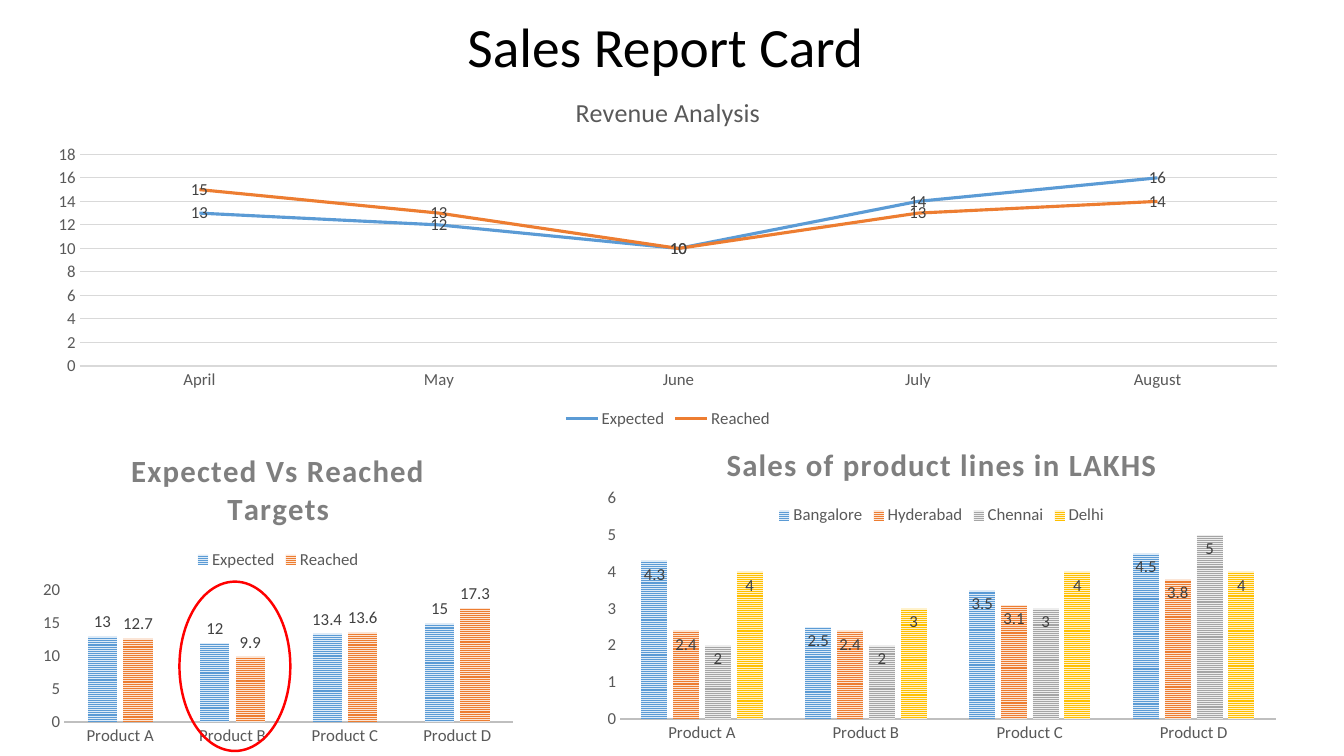
from lxml.etree import SubElement
from pptx import Presentation
from pptx.chart.data import CategoryChartData as Data
from pptx.dml.color import RGBColor as RGB
from pptx.enum.chart import XL_CHART_TYPE as Kind, XL_LABEL_POSITION as Pos
from pptx.enum.chart import XL_LEGEND_POSITION as Side, XL_TICK_MARK as Tick
from pptx.enum.dml import MSO_PATTERN as Pat
from pptx.enum.shapes import MSO_SHAPE as Shape
from pptx.enum.text import MSO_ANCHOR as Anchor, PP_ALIGN as Align
from pptx.oxml.ns import qn
from pptx.util import Inches, Pt

BLACK, RED = RGB(0, 0, 0), RGB(255, 0, 0)
TEXT, LABEL, HEAD = RGB(0x59, 0x59, 0x59), RGB(0x40, 0x40, 0x40), RGB(0x7F, 0x7F, 0x7F)
GRID, AXIS = RGB(0xD9, 0xD9, 0xD9), RGB(0xBF, 0xBF, 0xBF)
BLUE, ORANGE = RGB(0x5B, 0x9B, 0xD5), RGB(0xED, 0x7D, 0x31)
GRAY, GOLD = RGB(0xA5, 0xA5, 0xA5), RGB(0xFF, 0xC0, 0)
TINTS = [(BLUE, RGB(0xDE, 0xEB, 0xF7)), (ORANGE, RGB(0xFB, 0xE5, 0xD6)),
         (GRAY, RGB(0xED, 0xED, 0xED)), (GOLD, RGB(0xFF, 0xF2, 0xCC))]
FONT = "Calibri"

TITLE = "Sales Report Card"
ITEMS = ["Product A", "Product B", "Product C", "Product D"]
MONTHS = ["April", "May", "June", "July", "August"]
CHARTS = [
    dict(title="Sales of product lines in LAKHS", at=(5.91, 4.22, 6.86, 3.38),
         kind=Kind.COLUMN_CLUSTERED, cats=ITEMS, pos=Pos.INSIDE_END,
         plot=dict(x=0.035, y=0.213, w=0.948, h=0.648),
         rows={"Bangalore": [4.3, 2.5, 3.5, 4.5], "Hyderabad": [2.4, 2.4, 3.1, 3.8],
               "Chennai": [2, 2, 3, 5], "Delhi": [4, 3, 4, 4]}),
    dict(title="Expected Vs Reached Targets", at=(0.33, 4.29, 4.86, 3.17),
         kind=Kind.COLUMN_CLUSTERED, cats=ITEMS, pos=Pos.OUTSIDE_END, plot=None,
         rows={"Expected": [13, 12, 13.4, 15], "Reached": [12.7, 9.9, 13.6, 17.3]}),
    dict(title="Revenue Analysis", at=(0.33, 0.76, 12.59, 3.53),
         kind=Kind.LINE, cats=MONTHS, pos=Pos.CENTER, plot=None,
         rows={"Expected": [13, 12, 10, 14, 16], "Reached": [15, 13, 10, 13, 14]}),
]


def style(font, size, color, bold=False):
    font.name, font.size, font.bold = FONT, Pt(size), bold
    font.color.rgb = color


def stroke(line, color, width):
    line.color.rgb, line.width = color, Pt(width)


def set_plot(chart, box):
    area = chart._chartSpace.chart.plotArea
    for old in area.findall(qn("c:layout")):
        area.remove(old)
    layout = SubElement(area, qn("c:layout"))
    area.insert(0, layout)
    manual = SubElement(layout, qn("c:manualLayout"))
    modes = dict(layoutTarget="inner", xMode="edge", yMode="edge")
    for tag, val in {**modes, **box}.items():
        SubElement(manual, qn("c:" + tag)).set("val", str(val))


def set_title(chart, text, is_line):
    frame = chart.chart_title.text_frame
    frame.text = text
    run = frame.paragraphs[0].runs[0]
    if is_line:
        style(run.font, 18.6, TEXT)
    else:
        style(run.font, 22, HEAD, True)
        run._r.get_or_add_rPr().set("spc", "100")
    chart.chart_title.include_in_layout = False


def set_axes(chart, is_line):
    cat, val = chart.category_axis, chart.value_axis
    for axis in (cat, val):
        axis.major_tick_mark = axis.minor_tick_mark = Tick.NONE
        axis.has_major_gridlines = False
        style(axis.tick_labels.font, 12, TEXT)
    stroke(cat.format.line, GRID if is_line else AXIS, 0.75 if is_line else 1.5)
    val.format.line.fill.background()
    if is_line:
        val.has_major_gridlines = True
        stroke(val.major_gridlines.format.line, GRID, 0.75)


def set_series(row, tint, pos, is_line):
    if is_line:
        row.smooth = False
        stroke(row.format.line, tint[0], 2.25)
    else:
        fill = row.format.fill
        fill.patterned()
        fill.pattern = Pat.NARROW_HORIZONTAL
        fill.fore_color.rgb, fill.back_color.rgb = tint
    labels = row.data_labels
    labels.show_value, labels.position = True, pos
    style(labels.font, 12, LABEL)


def add_chart(slide, item):
    is_line = item["kind"] == Kind.LINE
    data = Data()
    data.categories = item["cats"]
    for name, vals in item["rows"].items():
        data.add_series(name, vals)
    chart = slide.shapes.add_chart(item["kind"], *map(Inches, item["at"]), data).chart
    style(chart.font, 10, BLACK)
    set_title(chart, item["title"], is_line)
    set_axes(chart, is_line)
    chart.has_legend = True
    chart.legend.position = Side.BOTTOM if is_line else Side.TOP
    chart.legend.include_in_layout = False
    style(chart.legend.font, 12, TEXT)
    plot = chart.plots[0]
    plot.vary_by_categories = False
    if not is_line:
        plot.gap_width, plot.overlap = 164, -22
    for row, tint in zip(plot.series, TINTS):
        set_series(row, tint, item["pos"], is_line)
    if item["plot"]:
        set_plot(chart, item["plot"])


def add_title(slide):
    frame = slide.shapes.add_textbox(*map(Inches, (0.86, 0.21, 11.48, 0.56))).text_frame
    frame.word_wrap, frame.vertical_anchor = True, Anchor.MIDDLE
    frame.text = TITLE
    para = frame.paragraphs[0]
    para.alignment, para.line_spacing = Align.CENTER, 0.9
    style(para.runs[0].font, 39.6, BLACK)


def main():
    deck = Presentation()
    deck.slide_width, deck.slide_height = Inches(13.33), Inches(7.5)
    slide = deck.slides.add_slide(deck.slide_layouts[6])
    for item in CHARTS:
        add_chart(slide, item)
    add_title(slide)
    ring = slide.shapes.add_shape(Shape.OVAL, *map(Inches, (1.78, 5.77, 1.1, 1.68)))
    ring.shadow.inherit = False
    ring.fill.background()
    stroke(ring.line, RED, 1.75)
    deck.save("out.pptx")


if __name__ == "__main__":
    main()
